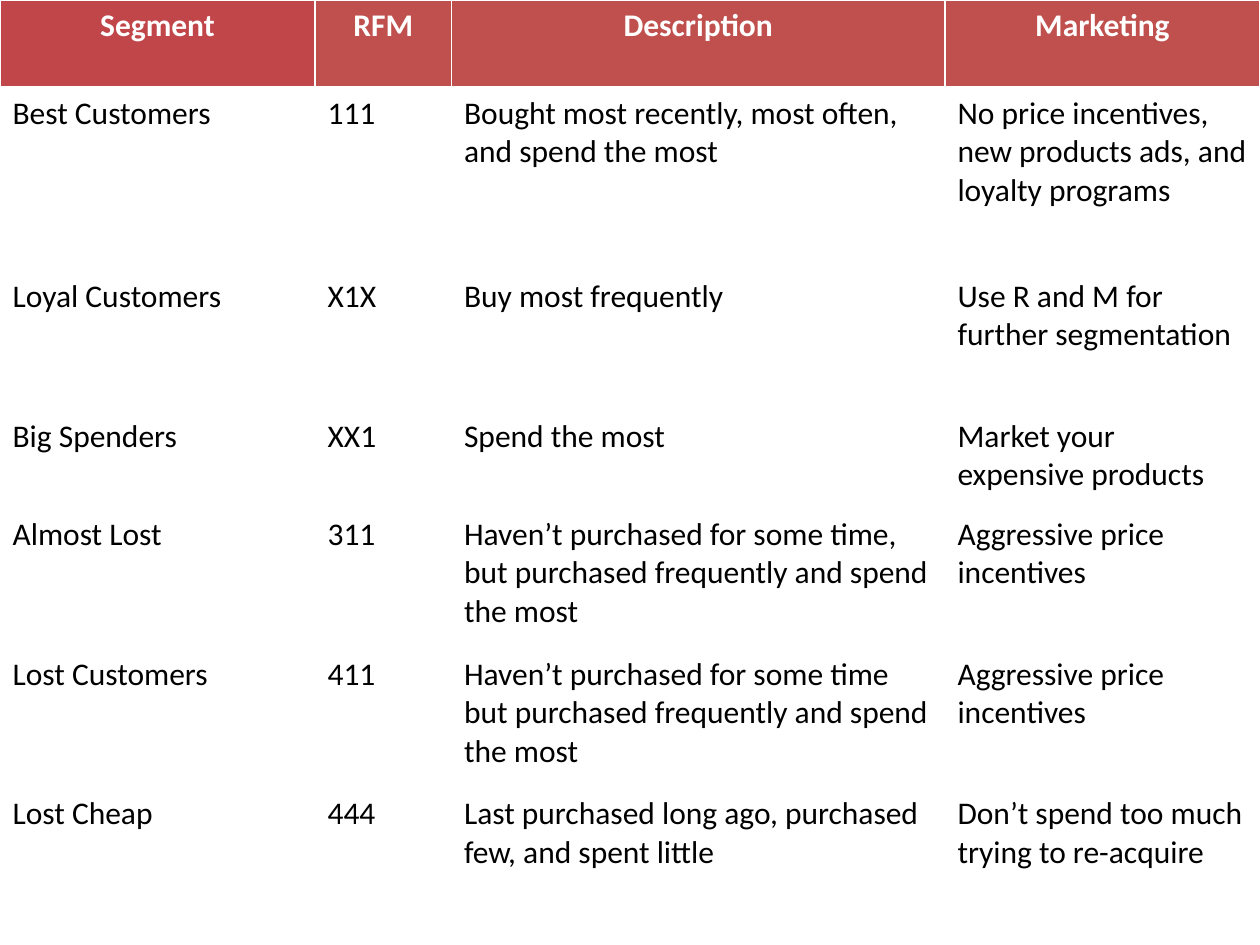
from lxml.etree import SubElement
from pptx import Presentation
from pptx.dml.color import RGBColor
from pptx.enum.text import PP_ALIGN
from pptx.oxml.ns import qn
from pptx.util import Pt

COLUMNS = [180, 78, 282, 180]
HEIGHTS = [50.4, 104.4, 79.9, 56.2, 79.9, 79.9, 79.9]
ROWS = [
    ["Segment", "RFM", "Description", "Marketing"],
    ["Best Customers", "111",
     "Bought most recently, most often, and spend the most",
     "No price incentives, new products ads, and loyalty programs"],
    ["Loyal Customers", "X1X", "Buy most frequently",
     "Use R and M for further segmentation"],
    ["Big Spenders", "XX1", "Spend the most", "Market your expensive products"],
    ["Almost Lost", "311",
     "Haven’t purchased for some time, but purchased frequently and spend the most",
     "Aggressive price incentives"],
    ["Lost Customers", "411",
     "Haven’t purchased for some time but purchased frequently and spend the most",
     "Aggressive price incentives"],
    ["Lost Cheap", "444",
     "Last purchased long ago, purchased few, and spent little",
     "Don’t spend too much trying to re-acquire"],
]


def color(value):
    """Turn a hex string into a colour."""
    return RGBColor.from_string(value)


class SlideBuilder:
    """Hold the style and the current slide."""

    font = {"name": "Calibri", "size": Pt(18)}
    header = {"bold": True, "color": "FFFFFF", "align": PP_ALIGN.CENTER}
    body = {"bold": False, "color": "000000", "align": PP_ALIGN.LEFT}
    accent, first_accent, rule = "C0504D", "C0464A", "FFFFFF"

    def __init__(self, prs):
        """Add a blank slide."""
        self.s = prs.slides.add_slide(prs.slide_layouts[6])

    def borders(self, cell, bottom):
        """Rule all four sides of a cell."""
        tcPr = cell._tc.get_or_add_tcPr()
        widths = {"lnL": 1, "lnR": 1, "lnT": 1, "lnB": bottom}
        for side, width in widths.items():
            ln = SubElement(tcPr, qn(f"a:{side}"), w=str(Pt(width)))
            fill = SubElement(ln, qn("a:solidFill"))
            SubElement(fill, qn("a:srgbClr"), val=self.rule)

    def cell(self, cell, text, style, fill=None):
        """Write and format one cell."""
        cell.text = text
        p = cell.text_frame.paragraphs[0]
        p.alignment = style["align"]
        r = p.runs[0]
        for name, value in {**self.font, "bold": style["bold"]}.items():
            setattr(r.font, name, value)
        r.font.color.rgb = color(style["color"])
        self.borders(cell, 3 if fill else 1)
        if fill:
            cell.fill.solid()
            cell.fill.fore_color.rgb = color(fill)
        else:
            cell.fill.background()

    def table(self, rows, columns, heights):
        """Add a table with a coloured header row."""
        sp = self.s.shapes.add_table(len(rows), len(columns), 0, 0,
                                     Pt(sum(columns)), Pt(sum(heights)))
        table = sp.table
        table.horz_banding = False
        for column, width in zip(table.columns, columns):
            column.width = Pt(width)
        for row, height in zip(table.rows, heights):
            row.height = Pt(height)
        for i, texts in enumerate(rows):
            for j, text in enumerate(texts):
                if i == 0:
                    fill = self.accent if j else self.first_accent
                    self.cell(table.cell(i, j), text, self.header, fill)
                else:
                    self.cell(table.cell(i, j), text, self.body)


def main():
    """Build the customer segment slide."""
    prs = Presentation()
    prs.slide_width, prs.slide_height = Pt(720), Pt(540)
    SlideBuilder(prs).table(ROWS, COLUMNS, HEIGHTS)
    prs.save("out.pptx")


if __name__ == "__main__":
    main()
